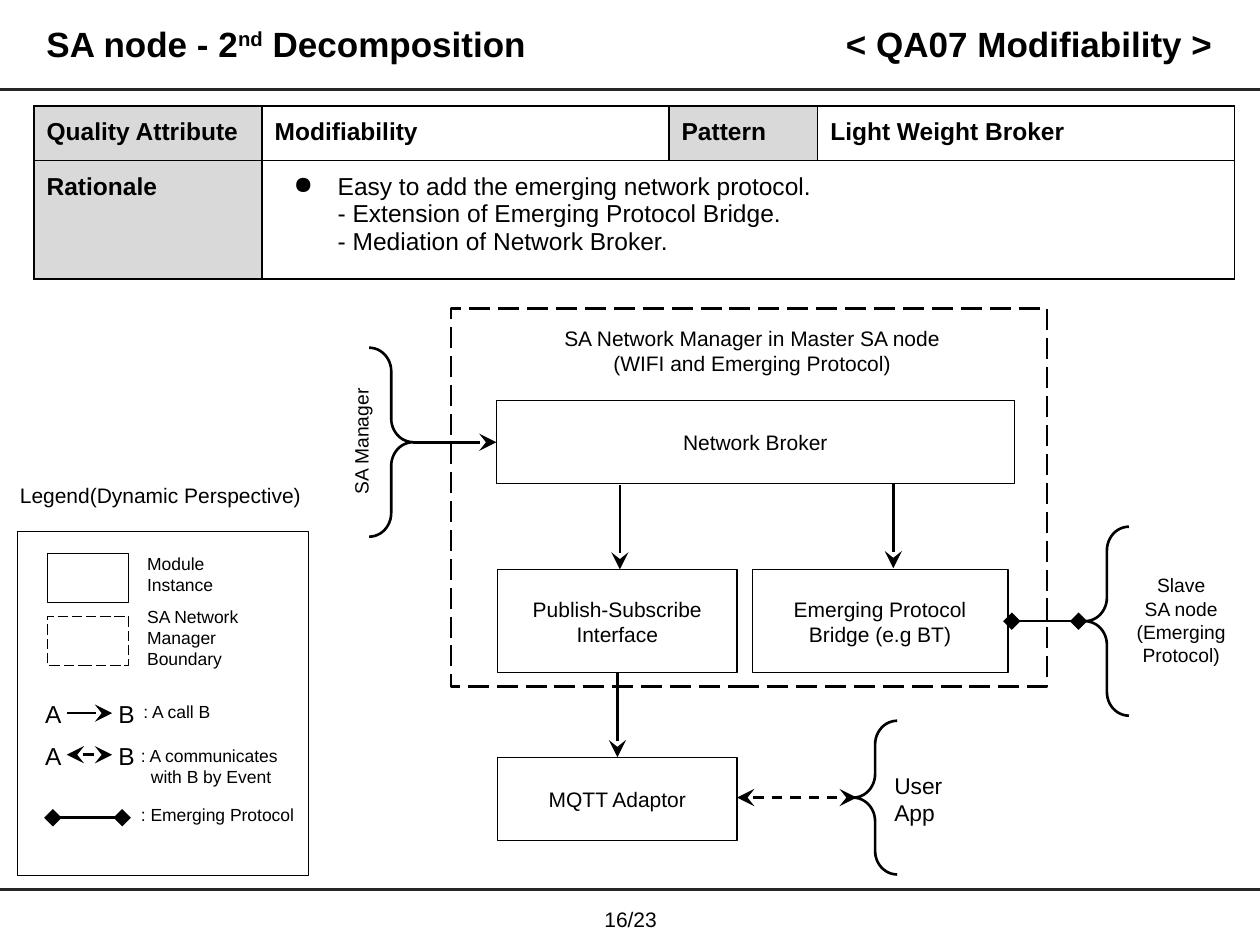
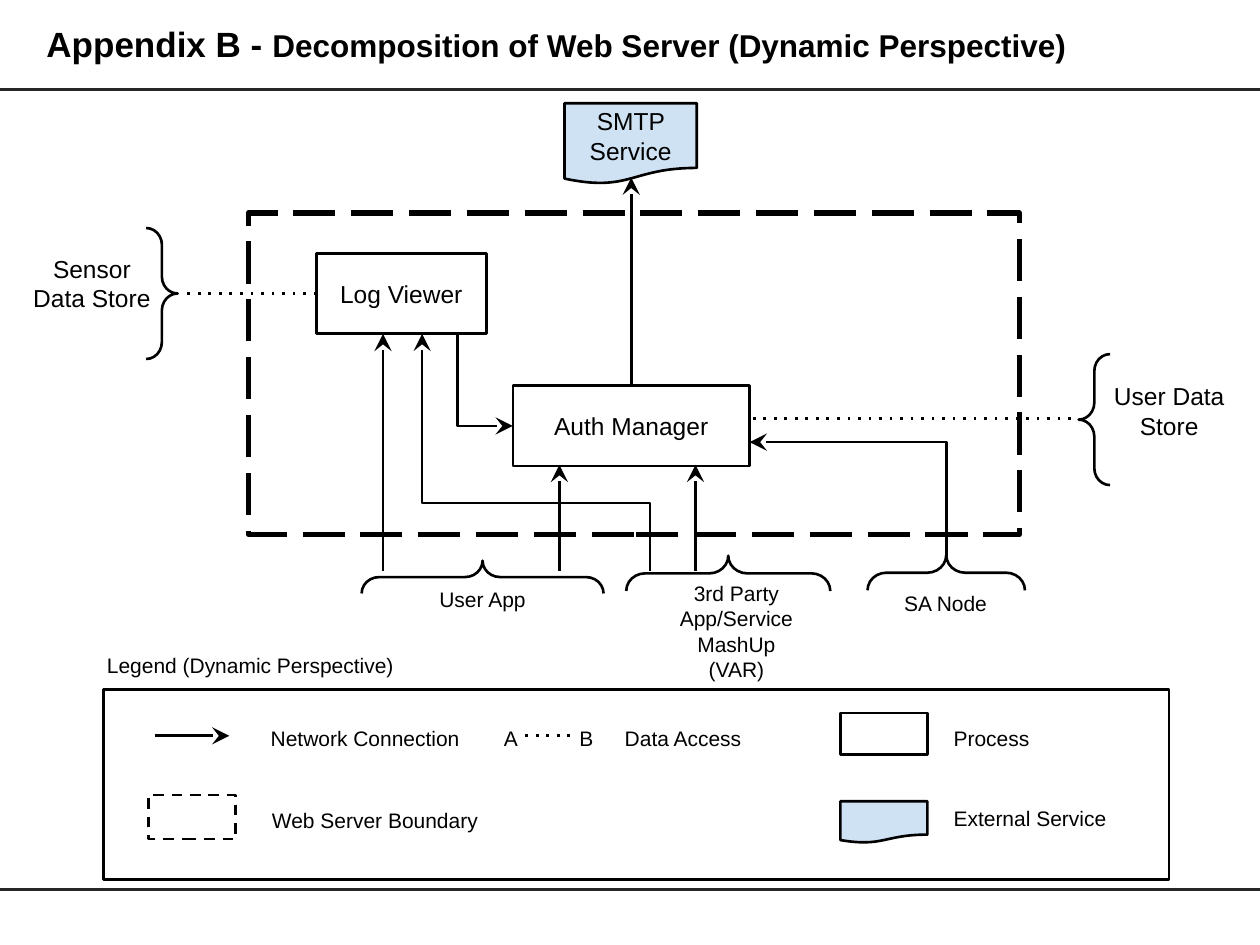
from dataclasses import dataclass
from typing import Optional

from lxml import etree
from pptx import Presentation
from pptx import util as u
from pptx.dml.color import RGBColor
from pptx.enum import shapes, text
from pptx.oxml.ns import qn

SHAPE, CONN = shapes.MSO_SHAPE, shapes.MSO_CONNECTOR
LEFT, CENTER, RIGHT = text.PP_ALIGN.LEFT, text.PP_ALIGN.CENTER, text.PP_ALIGN.RIGHT
TOP, MIDDLE = text.MSO_ANCHOR.TOP, text.MSO_ANCHOR.MIDDLE


@dataclass(frozen=True)
class Theme:
    """Colours, font, type sizes and line widths of the deck."""
    font: str = "Arial"
    ink: str = "000000"
    rule: str = "262626"
    paper: str = "FFFFFF"
    head: str = "D9D9D9"
    external: str = "CFE2F3"
    title: float = 20
    subtitle: float = 18
    large: float = 14
    medium: float = 13
    body: float = 12
    small: float = 11
    tiny: float = 10
    thin: float = 0.75
    line: float = 1.5
    rule_width: float = 1.75
    heavy: float = 3


T = Theme()


@dataclass
class Box:
    """A preset shape with optional centred text."""
    at: tuple
    text: str = ""
    size: float = T.body
    width: float = 0
    fill: Optional[str] = T.paper
    dash: str = ""
    kind: int = SHAPE.RECTANGLE
    align: int = CENTER
    rot: float = 0


@dataclass
class Label:
    """A plain text box; indent moves every line after the first."""
    at: tuple
    text: str
    size: float = T.body
    align: int = LEFT
    anchor: int = TOP
    inset: float = 0.1
    indent: float = 0
    wrap: bool = True


@dataclass
class Brace:
    """A curly brace, turned by rot degrees."""
    at: tuple
    rot: float = 0


@dataclass
class Link:
    """A line from one point to another; elbow links leave vertically."""
    start: tuple
    end: tuple
    dash: str = ""
    head: str = ""
    tail: str = ""
    elbow: str = ""
    bend: Optional[int] = None


def inches(values):
    """Convert a tuple of numbers to lengths."""
    return [u.Inches(v) for v in values]


def add_run(p, words: str, size: float, bold: bool = False, raised: bool = False) -> None:
    """Append one styled run to a paragraph."""
    r = p.add_run()
    r.text = words
    r.font.name, r.font.size, r.font.bold = T.font, u.Pt(size), bold
    r.font.color.rgb = RGBColor.from_string(T.ink)
    if raised:
        r.font._element.set("baseline", "30000")


def set_frame(tf, anchor: int, inset_y: float = 0.1, wrap: bool = True) -> None:
    """Set the margins, anchor and wrapping of a text frame."""
    tf.word_wrap, tf.vertical_anchor = wrap, anchor
    tf.margin_left = tf.margin_right = u.Inches(0.1)
    tf.margin_top = tf.margin_bottom = u.Inches(inset_y)


def write(tf, words: str, size: float, align: int = LEFT, bold: bool = False,
          indent: float = 0) -> None:
    """Write one paragraph for each line of words."""
    for i, line in enumerate(words.split("\n")):
        p = tf.add_paragraph() if i else tf.paragraphs[0]
        p.alignment = align
        if i and indent:
            p._p.get_or_add_pPr().set("marL", str(u.Inches(indent)))
        add_run(p, line, size, bold)


def stroke(line, width: float, dash: str = "", head: str = "", tail: str = "",
           color: str = T.ink) -> None:
    """Set colour, width, dash and arrowheads of a line."""
    line.color.rgb = RGBColor.from_string(color)
    line.width = u.Pt(width)
    ln = line._get_or_add_ln()
    if dash:
        etree.SubElement(ln, qn("a:prstDash"), val=dash)
    for tag, kind in (("a:headEnd", head), ("a:tailEnd", tail)):
        if kind:
            etree.SubElement(ln, qn(tag), type=kind, w="lg", len="lg")


def draw_box(s, b: Box) -> None:
    """Draw a box."""
    sp = s.shapes.add_shape(b.kind, *inches(b.at))
    sp.shadow.inherit = False
    sp.rotation = b.rot
    if b.fill:
        sp.fill.solid()
        sp.fill.fore_color.rgb = RGBColor.from_string(b.fill)
    else:
        sp.fill.background()
    if b.width:
        stroke(sp.line, b.width, b.dash)
    else:
        sp.line.fill.background()
    if b.text:
        set_frame(sp.text_frame, MIDDLE)
        write(sp.text_frame, b.text, b.size, b.align)


def draw_label(s, l: Label) -> None:
    """Draw a text box."""
    tf = s.shapes.add_textbox(*inches(l.at)).text_frame
    set_frame(tf, l.anchor, l.inset, l.wrap)
    write(tf, l.text, l.size, l.align, indent=l.indent)


def draw_brace(s, b: Brace) -> None:
    """Draw a brace."""
    sp = s.shapes.add_shape(SHAPE.RIGHT_BRACE, *inches(b.at))
    sp.shadow.inherit = False
    sp.fill.background()
    sp.rotation = b.rot
    sp.adjustments[0], sp.adjustments[1] = 0.536, 0.5
    stroke(sp.line, T.line)


def draw_link(s, k: Link, width: float = T.line, color: str = T.ink) -> None:
    """Draw a straight link, or an elbow turned so that it starts vertically."""
    (x1, y1), (x2, y2) = k.start, k.end
    dx, dy = x2 - x1, y2 - y1
    if k.elbow:
        cx, cy, half_w, half_h = (x1 + x2) / 2, (y1 + y2) / 2, abs(dy) / 2, abs(dx) / 2
        if (dx > 0) == (dy > 0):
            half_h = -half_h
        x1, y1, x2, y2 = cx - half_w, cy - half_h, cx + half_w, cy + half_h
    c = s.shapes.add_connector(CONN.ELBOW if k.elbow else CONN.STRAIGHT,
                               *inches((x1, y1, x2, y2)))
    stroke(c.line, width, k.dash, k.head, k.tail, color)
    pr = c._element.spPr
    etree.SubElement(pr, qn("a:effectLst"))
    if k.elbow:
        pr.find(qn("a:xfrm")).set("rot", str((270 if dy < 0 else 90) * 60000))
        geom = pr.find(qn("a:prstGeom"))
        geom.set("prst", k.elbow)
        if k.bend is not None:
            guides = geom.find(qn("a:avLst"))
            if guides is None:
                guides = etree.SubElement(geom, qn("a:avLst"))
            etree.SubElement(guides, qn("a:gd"), name="adj1", fmla=f"val {k.bend}")


DRAW = {Box: draw_box, Label: draw_label, Brace: draw_brace, Link: draw_link}


def draw(s, items) -> None:
    """Draw all items from back to front."""
    for item in items:
        DRAW[type(item)](s, item)


def add_title(s, at: tuple, runs, align: int = LEFT) -> None:
    """Add a bold title made of (words, size, raised) runs."""
    tf = s.shapes.add_textbox(*inches(at)).text_frame
    set_frame(tf, MIDDLE, 0.05)
    p = tf.paragraphs[0]
    p.alignment, p.line_spacing = align, 0.9
    for words, size, raised in runs:
        add_run(p, words, size, True, raised)


def new_slide(prs, *title):
    """Add a blank slide with both rules and its title."""
    s = prs.slides.add_slide(prs.slide_layouts[6])
    for y in (0.71, 7.06):
        draw_link(s, Link((0, y), (10, y)), T.rule_width, T.rule)
    add_title(s, (0.27, 0.1, 8.52, 0.53), title)
    return s


def style_cell(cell, fill: str) -> None:
    """Set fill, margins and thin borders of a cell."""
    cell.margin_left = cell.margin_right = u.Inches(0.1)
    cell.margin_top = cell.margin_bottom = u.Inches(0.1)
    pr = cell._tc.get_or_add_tcPr()
    for side in ("a:lnL", "a:lnR", "a:lnT", "a:lnB"):
        ln = etree.SubElement(pr, qn(side), w=str(u.Pt(1)))
        etree.SubElement(etree.SubElement(ln, qn("a:solidFill")), qn("a:srgbClr"), val=T.ink)
    cell.fill.solid()
    cell.fill.fore_color.rgb = RGBColor.from_string(fill)


def add_rationale_table(s) -> None:
    """Add the table of quality attribute, pattern and rationale."""
    tbl = s.shapes.add_table(2, 4, *inches((0.27, 0.84, 9.53, 1.35))).table
    for col, w in zip(tbl.columns, (1.81, 3.23, 1.18, 3.31)):
        col.width = u.Inches(w)
    for row, h in zip(tbl.rows, (0.41, 0.94)):
        row.height = u.Inches(h)
    rows = (("Quality Attribute", "Modifiability", "Pattern", "Light Weight Broker"),
            ("Rationale", "", "", ""))
    for i, row in enumerate(rows):
        for j, words in enumerate(row):
            cell = tbl.cell(i, j)
            style_cell(cell, T.head if j == 0 or words == "Pattern" else T.paper)
            if words:
                write(cell.text_frame, words, T.large, bold=True)
    cell = tbl.cell(1, 1)
    cell.merge(tbl.cell(1, 3))
    write(cell.text_frame, "Easy to add the emerging network protocol.\n"
          "- Extension of Emerging Protocol Bridge.\n- Mediation of Network Broker.",
          T.large, indent=0.5)
    pr = cell.text_frame.paragraphs[0]._p.get_or_add_pPr()
    pr.set("marL", str(u.Inches(0.5)))
    pr.set("indent", str(u.Inches(-0.35)))
    etree.SubElement(pr, qn("a:buChar"), char="●")


def module(at: tuple, words: str = "", dash: str = "") -> Box:
    """Make a thin-lined module box."""
    return Box(at, words, width=T.thin, dash=dash)


def process(at: tuple, words: str = "", **look) -> Box:
    """Make a process box."""
    return Box(at, words, T.large, T.line, **look)


def arrow(start: tuple, end: tuple, **look) -> Link:
    """Make a link with an arrowhead at its end."""
    return Link(start, end, tail="stealth", **look)


def event(start: tuple, end: tuple) -> Link:
    """Make a dashed two-way arrow."""
    return arrow(start, end, dash="dash", head="stealth")


def protocol(start: tuple, end: tuple) -> Link:
    """Make a link with a diamond at each end."""
    return Link(start, end, head="diamond", tail="diamond")


def node_slide(prs) -> None:
    """Build the decomposition of the SA node."""
    s = new_slide(prs, ("SA node - 2", T.title, False), ("nd", T.title, True),
                  (" Decomposition", T.title, False))
    add_title(s, (6.5, 0.1, 3.22, 0.53), [("< QA07 Modifiability >", T.title, False)], RIGHT)
    add_rationale_table(s)
    draw(s, [
        module((0.14, 4.22, 2.31, 2.73)),
        module((0.38, 4.39, 0.64, 0.39)), module((0.38, 4.89, 0.64, 0.39), dash="lgDash"),
        Label((1.07, 4.29, 0.9, 0.5), "Module\nInstance", T.tiny),
        Label((1.07, 4.71, 1.06, 0.65), "SA Network Manager Boundary", T.tiny),
        *[Label((x, y, 0.32, 0.27), name, T.large)
          for y in (5.45, 5.78) for x, name in ((0.26, "A"), (0.84, "B"))],
        Label((1.04, 5.48, 1.54, 0.27), ": A call B", T.tiny),
        Label((1.02, 5.81, 1.77, 0.5), ": A communicates\nwith B by Event", T.tiny, indent=0.08),
        Label((1.02, 6.3, 1.63, 0.27), ": Emerging Protocol", T.tiny),
        arrow((0.53, 5.66), (0.89, 5.66)), event((0.53, 5.99), (0.89, 5.99)),
        protocol((0.42, 6.49), (0.97, 6.49)),
        Label((0.06, 3.78, 2.93, 0.43), "Legend(Dynamic Perspective)", inset=0.05, wrap=False),
        Box((2.02, 3.33, 1.69, 0.35), "SA Manager", T.small, rot=270),
        Box((7, 5.69, 0.76, 1.3), "User App", T.medium, align=LEFT),
        Box((8.79, 4.27, 1.17, 1.3), "Slave\nSA node\n(Emerging Protocol)", T.small),
        Box((3.58, 2.45, 4.73, 3), width=T.line, fill=None, dash="lgDash"),
        Label((3.78, 2.48, 4.38, 0.86),
              "SA Network Manager in Master SA node\n(WIFI and Emerging Protocol)", align=CENTER),
        module((3.94, 3.18, 4.11, 0.66), "Network Broker"),
        module((3.95, 4.52, 1.9, 0.82), "Publish-Subscribe\nInterface"),
        module((5.97, 4.52, 2.03, 0.82), "Emerging Protocol\nBridge (e.g BT)"),
        module((3.95, 6.01, 1.9, 0.66), "MQTT Adaptor"),
        Brace((2.93, 2.76, 0.35, 1.5)), Brace((6.77, 5.72, 0.35, 1.22), 180),
        Brace((8.61, 4.18, 0.35, 1.5), 180),
        arrow((3.28, 3.51), (3.94, 3.51)), arrow((4.92, 3.85), (4.92, 4.52)),
        arrow((7.09, 3.84), (7.09, 4.51)), arrow((4.9, 5.34), (4.9, 6.01)),
        event((5.85, 6.33), (6.8, 6.33)), protocol((8.03, 4.93), (8.56, 4.93)),
        Label((4.62, 7.14, 0.77, 0.31), "16/23", align=CENTER, anchor=MIDDLE, inset=0.05),
    ])


def server_slide(prs) -> None:
    """Build the decomposition of the web server."""
    s = new_slide(prs, ("Appendix B - ", T.title, False),
                  ("Decomposition of Web Server (Dynamic Perspective)", T.subtitle, False))
    document = dict(kind=SHAPE.FLOWCHART_DOCUMENT, fill=T.external)
    legend = ((0.75, 5.08, 2.58, "Legend (Dynamic Perspective)"),
              (2.05, 5.66, 1.85, "Network Connection"), (3.9, 5.66, 0.27, "A"),
              (4.5, 5.66, 0.27, "B"), (4.86, 5.66, 1.85, "Data Access"),
              (7.47, 5.66, 0.84, "Process"), (2.06, 6.31, 1.85, "Web Server Boundary"),
              (7.47, 6.29, 1.47, "External Service"))
    draw(s, [
        Box((1.97, 1.69, 6.12, 2.55), width=T.heavy, fill=None, dash="lgDash"),
        process((4.07, 3.06, 1.88, 0.64), "Auth Manager"),
        process((2.51, 2.01, 1.35, 0.64), "Log Viewer"),
        process((4.48, 0.82, 1.05, 0.64), "SMTP Service", **document),
        Box((2.66, 4.6, 2.34, 0.31), "User App"),
        Box((5.28, 4.63, 1.13, 0.76), "3rd Party App/Service MashUp\n(VAR)"),
        Box((6.98, 4.47, 1.05, 0.64), "SA Node"),
        Box((0.16, 1.93, 1.14, 0.64), "Sensor Data Store", T.large),
        Box((8.71, 2.94, 1.14, 0.64), "User Data Store", T.large),
        Brace((3.7, 3.62, 0.26, 1.92), 270), Brace((5.64, 3.74, 0.28, 1.62), 270),
        Brace((7.37, 3.92, 0.28, 1.25), 270),
        Brace((1.16, 1.81, 0.25, 1.04)), Brace((8.56, 2.81, 0.25, 1.04), 180),
        *[arrow((x, 4.53), (x, y)) for x, y in ((3.04, 2.65), (4.44, 3.69), (5.52, 3.69))],
        arrow((5.01, 3.06), (5.01, 1.41)),
        arrow((7.51, 4.41), (5.95, 3.51), elbow="bentConnector2"),
        arrow((3.63, 2.66), (4.07, 3.38), elbow="bentConnector2"),
        arrow((5.16, 4.53), (3.35, 2.65), elbow="bentConnector3", bend=28600),
        Link((2.51, 2.33), (1.44, 2.33), "dot"), Link((8.5, 3.32), (5.95, 3.32), "dot"),
        process((0.82, 5.47, 8.46, 1.51), fill=None),
        process((6.67, 5.66, 0.69, 0.33)), process((6.67, 6.36, 0.69, 0.33), **document),
        process((1.18, 6.31, 0.69, 0.35), dash="dash"),
        arrow((1.23, 5.84), (1.82, 5.84)), Link((4.17, 5.84), (4.55, 5.84), "dot"),
        *[Label((x, y, w, 0.35), words) for x, y, w, words in legend],
    ])


prs = Presentation()
prs.slide_width, prs.slide_height = u.Inches(10), u.Inches(7.5)
node_slide(prs)
server_slide(prs)
prs.save("out.pptx")
